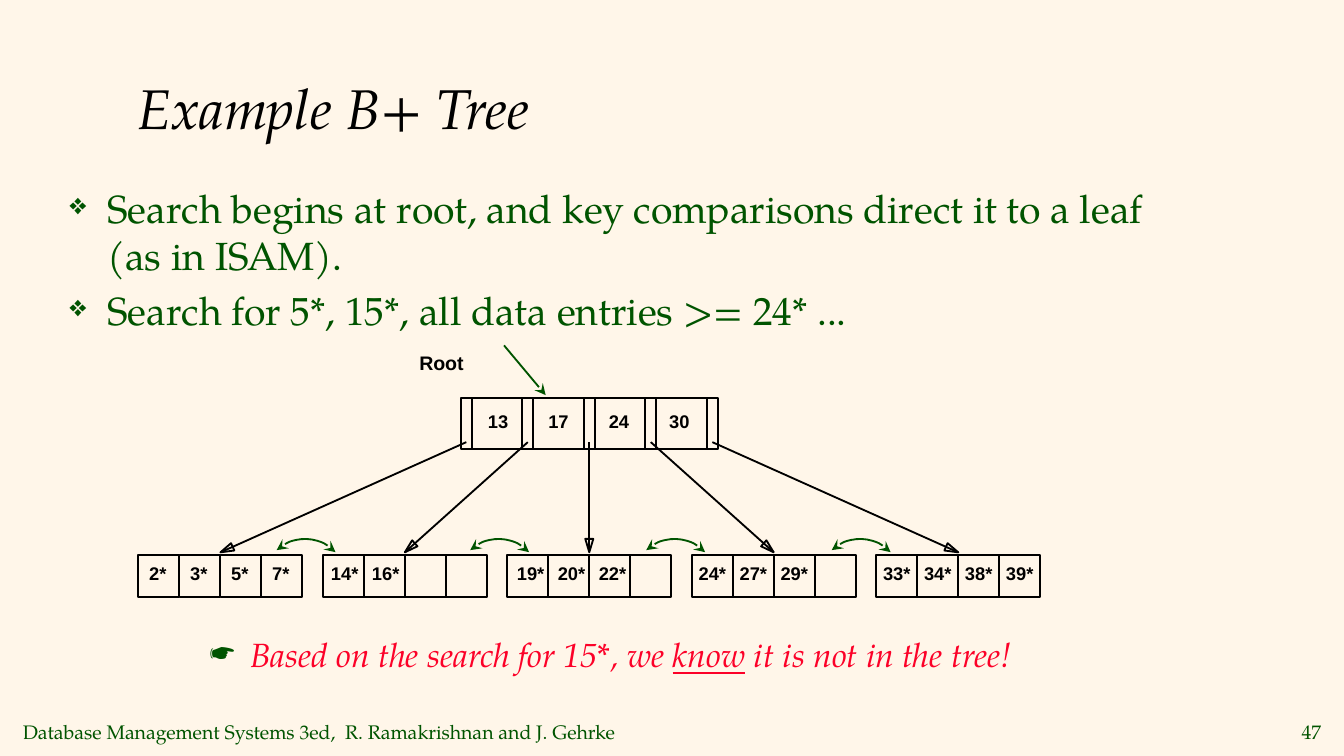
"""Build the Example B+ Tree slide."""
import math
from typing import NamedTuple

import pptx
import pptx.dml.color
import pptx.enum.shapes
import pptx.enum.text
import pptx.oxml.ns
import pptx.util
from lxml import etree

Inches = pptx.util.Inches
Pt = pptx.util.Pt
RGBColor = pptx.dml.color.RGBColor
Align = pptx.enum.text.PP_ALIGN
Anchor = pptx.enum.text.MSO_ANCHOR
Shape = pptx.enum.shapes.MSO_SHAPE

CREAM = RGBColor(0xFF, 0xF6, 0xE9)
GREEN = RGBColor(0x00, 0x54, 0x00)
RED = RGBColor(0xFC, 0x01, 0x28)
BLACK = RGBColor(0, 0, 0)
SERIF = "TeX Gyre Pagella"
SANS = "Arial"


class Leaf(NamedTuple):
    """Entries of a leaf and the shift of their labels from the cells."""
    entries: tuple[str, ...]
    shift: float


class Point(NamedTuple):
    """Position on the slide in inches."""
    x: float
    y: float


ROOT_KEYS = ("13", "17", "24", "30")
LEAVES = (
    Leaf(("2*", "3*", "5*", "7*"), 0.01),
    Leaf(("14*", "16*"), -0.01),
    Leaf(("19*", "20*", "22*"), 0),
    Leaf(("24*", "27*", "29*"), -0.02),
    Leaf(("33*", "34*", "38*", "39*"), -0.02),
)
SIBLING_LINKS = (1.96, 3.4, 4.71, 6.09)
ROOT_LEFT, ROOT_TOP, ROOT_HEIGHT = 3.43, 2.96, 0.38
KEY_WIDTH, SLOT_WIDTH = 1.83 / 4, 0.08
LEAF_LEFT, LEAF_TOP, LEAF_PITCH = 1.03, 4.13, 5.49 / 4
ENTRY_WIDTH, ENTRY_HEIGHT = 1.22 / 4, 0.31


def style_font(font, name: str, size: float, color: RGBColor, bold=None, italic=None) -> None:
    """Set typeface, size, colour and emphasis."""
    font.name, font.size, font.bold, font.italic = name, Pt(size), bold, italic
    font.color.rgb = color


def add_text_frame(slide, left: float, top: float, width: float, height: float,
                   wrap: bool = False, side: float = 0.07, edge: float = 0.04):
    """Add a text box and return its frame."""
    frame = slide.shapes.add_textbox(
        Inches(left), Inches(top), Inches(width), Inches(height)).text_frame
    frame.word_wrap = wrap
    frame.margin_left = frame.margin_right = Inches(side)
    frame.margin_top = frame.margin_bottom = Inches(edge)
    return frame


def add_label(slide, text: str, left: float, top: float, width: float, size: float = 9.8) -> None:
    """Add a bold label of the tree."""
    paragraph = add_text_frame(slide, left, top, width, 0.24).paragraphs[0]
    paragraph.text = text
    style_font(paragraph.font, SANS, size, BLACK, bold=True)


def add_footer(slide, text: str, left: float, width: float, alignment) -> None:
    """Add a line of text at the foot of the slide."""
    frame = add_text_frame(slide, left, 5.32, width, 0.25)
    frame.vertical_anchor = Anchor.MIDDLE
    paragraph = frame.paragraphs[0]
    paragraph.text = text
    paragraph.alignment = alignment
    style_font(paragraph.font, SERIF, 10.5, GREEN)


def set_bullet(paragraph, mark: str, indent: float, percent: int) -> None:
    """Give a paragraph a green bullet and a hanging indent."""
    qn = pptx.oxml.ns.qn
    properties = paragraph._p.get_or_add_pPr()
    properties.set("marL", str(Inches(indent)))
    properties.set("indent", str(-Inches(indent)))
    color = etree.SubElement(properties, qn("a:buClr"))
    etree.SubElement(color, qn("a:srgbClr"), val=str(GREEN))
    etree.SubElement(properties, qn("a:buSzPct"), val=str(percent * 1000))
    etree.SubElement(properties, qn("a:buChar"), char=mark)


def style_line(shape, color: RGBColor, *stealth_ends: str) -> None:
    """Draw a one-point line, with stealth heads at the named ends."""
    shape.line.color.rgb = color
    shape.line.width = Pt(1)
    for end in stealth_ends:
        etree.SubElement(shape.line._get_or_add_ln(), pptx.oxml.ns.qn(f"a:{end}"), type="stealth")


def add_line(slide, start: Point, end: Point, color: RGBColor, *stealth_ends: str) -> None:
    """Add a straight connector without a shadow."""
    line = slide.shapes.add_connector(
        pptx.enum.shapes.MSO_CONNECTOR.STRAIGHT,
        Inches(start.x), Inches(start.y), Inches(end.x), Inches(end.y))
    style_line(line, color, *stealth_ends)
    etree.SubElement(line._element.spPr, pptx.oxml.ns.qn("a:effectLst"))


def add_cell(slide, left: float, top: float, width: float, height: float) -> None:
    """Add an outlined cell of a tree node."""
    cell = slide.shapes.add_shape(
        Shape.RECTANGLE, Inches(left), Inches(top), Inches(width), Inches(height))
    cell.fill.background()
    cell.shadow.inherit = False
    style_line(cell, BLACK)


def add_child_pointer(slide, start: Point, end: Point) -> None:
    """Add a line that ends in a hollow triangular head."""
    add_line(slide, start, end, BLACK)
    angle = math.atan2(end.y - start.y, end.x - start.x)
    along, across = Point(math.cos(angle), math.sin(angle)), Point(-math.sin(angle), math.cos(angle))
    corners = [(Inches(end.x - 0.1 * along.x + side * across.x),
                Inches(end.y - 0.1 * along.y + side * across.y)) for side in (-0.03, 0.03)]
    builder = slide.shapes.build_freeform(Inches(end.x), Inches(end.y))
    builder.add_line_segments(corners, close=True)
    head = builder.convert_to_shape()
    head.fill.background()
    head.shadow.inherit = False
    style_line(head, BLACK)


def add_sibling_link(slide, left: float) -> None:
    """Add a two-headed arc between neighbouring leaves."""
    link = slide.shapes.add_shape(Shape.ARC, Inches(left), Inches(4.01), Inches(0.62), Inches(0.62))
    link.rotation = 317
    link.fill.background()
    link.shadow.inherit = False
    style_line(link, GREEN, "headEnd", "tailEnd")


def add_tree(slide) -> None:
    """Draw the root, its leaves and the pointers."""
    for index, key in enumerate(ROOT_KEYS):
        left = ROOT_LEFT + index * KEY_WIDTH
        add_cell(slide, left, ROOT_TOP, KEY_WIDTH, ROOT_HEIGHT)
        divider = left + SLOT_WIDTH
        add_line(slide, Point(divider, ROOT_TOP), Point(divider, ROOT_TOP + ROOT_HEIGHT), BLACK)
        add_label(slide, key, 3.56 + 0.45 * index, 3.01, 0.3)
    add_cell(slide, ROOT_LEFT + 4 * KEY_WIDTH, ROOT_TOP, SLOT_WIDTH, ROOT_HEIGHT)
    for index, leaf in enumerate(LEAVES):
        left = LEAF_LEFT + index * LEAF_PITCH
        for position in range(4):
            add_cell(slide, left + position * ENTRY_WIDTH, LEAF_TOP, ENTRY_WIDTH, ENTRY_HEIGHT)
        for position, entry in enumerate(leaf.entries):
            add_label(slide, entry, left + position * ENTRY_WIDTH + leaf.shift, 4.14,
                      0.14 + 0.07 * len(entry))
        add_child_pointer(slide, Point(3.47 + index * KEY_WIDTH, 3.29),
                          Point(left + 2 * ENTRY_WIDTH, 4.11))
    for left in SIBLING_LINKS:
        add_sibling_link(slide, left)
    add_label(slide, "Root", 3.05, 2.57, 0.48, 10.5)
    add_line(slide, Point(3.75, 2.57), Point(4.06, 2.94), GREEN, "tailEnd")


def add_search_notes(slide) -> None:
    """Add the bullets above the tree and the conclusion below it."""
    frame = add_text_frame(slide, 0.42, 1.32, 8.5, 3.34, wrap=True, side=0.1, edge=0.05)
    notes = ("Search begins at root, and key comparisons direct it to a leaf (as in ISAM).",
             "Search for 5*, 15*, all data entries >= 24* ...")
    for index, note in enumerate(notes):
        paragraph = frame.add_paragraph() if index else frame.paragraphs[0]
        paragraph.text = note
        set_bullet(paragraph, "❖", 0.28, 75)
        paragraph.space_before = Pt(4.2 if index else 0)
        style_font(paragraph.font, SERIF, 21, GREEN)
    conclusion = add_text_frame(slide, 1.49, 4.68, 6.22, 0.38, wrap=True).paragraphs[0]
    set_bullet(conclusion, "☛", 0.3, 100)
    for text in ("Based on the search for 15*, we ", "know", " it is not in the tree!"):
        run = conclusion.add_run()
        run.text = text
        run.font.underline = text == "know"
    style_font(conclusion.font, SERIF, 18, RED, italic=True)


def main() -> None:
    """Build and save the presentation."""
    deck = pptx.Presentation()
    deck.slide_width, deck.slide_height = Inches(10), Inches(10 * 9 / 16)
    slide = deck.slides.add_slide(deck.slide_layouts[5])
    slide.background.fill.solid()
    slide.background.fill.fore_color.rgb = CREAM
    title = slide.shapes.title
    title.left, title.top, title.width, title.height = map(Inches, (0.92, 0.34, 8.5, 0.91))
    title.text_frame.vertical_anchor = Anchor.MIDDLE
    heading = title.text_frame.paragraphs[0]
    heading.text = "Example B+ Tree"
    heading.alignment = Align.LEFT
    style_font(heading.font, SERIF, 30, BLACK, italic=True)
    add_search_notes(slide)
    add_tree(slide)
    add_footer(slide, "Database Management Systems 3ed,  R. Ramakrishnan and J. Gehrke",
               0.1, 4.64, Align.LEFT)
    add_footer(slide, "47", 9.56, 0.34, Align.RIGHT)
    deck.save("out.pptx")


if __name__ == "__main__":
    main()
